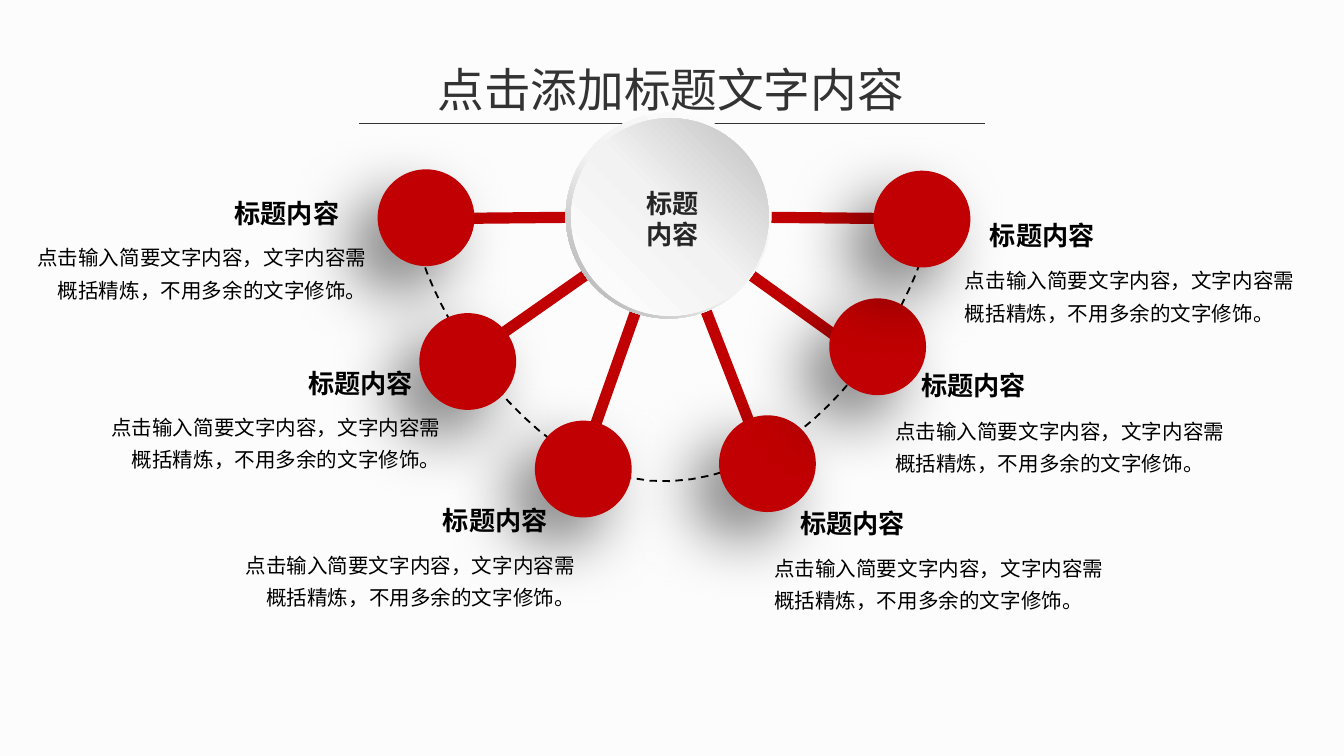
from dataclasses import dataclass

import pptx
import pptx.dml.color
import pptx.enum.dml
import pptx.enum.shapes
import pptx.enum.text
import pptx.oxml
import pptx.oxml.ns
import pptx.util
from pptx.util import Inches

RGBColor = pptx.dml.color.RGBColor
Shape = pptx.enum.shapes.MSO_SHAPE
Align = pptx.enum.text.PP_ALIGN
Pt = pptx.util.Pt
qn = pptx.oxml.ns.qn

PAPER = RGBColor(0xFC, 0xFC, 0xFC)
DARK = RGBColor(0x33, 0x33, 0x33)
HUB_TEXT = RGBColor(0x26, 0x26, 0x26)
BLACK = RGBColor(0, 0, 0)
RED = RGBColor(0xC0, 0x00, 0x02)
WHITE = RGBColor(0xFF, 0xFF, 0xFF)
PALE = RGBColor(0xF2, 0xF2, 0xF2)
SILVER = RGBColor(0xBF, 0xBF, 0xBF)
GREY = RGBColor(0xA6, 0xA6, 0xA6)

FONT = "Noto Sans CJK SC"
HEADING = "标题内容"
BODY = "点击输入简要文字内容，文字内容需概括精炼，不用多余的文字修饰。"
HUB = (4.98, 1.61)
NODE_SIZE = 0.72
NAMESPACE = 'xmlns:a="http://schemas.openxmlformats.org/drawingml/2006/main"'
SHADOW = (
    f'<a:effectLst {NAMESPACE}><a:outerShdw blurRad="{Pt(35)}" dist="{Pt(20)}" '
    'dir="8100000" algn="tr" rotWithShape="0"><a:srgbClr val="000000">'
    '<a:alpha val="50000"/></a:srgbClr></a:outerShdw></a:effectLst>'
)


@dataclass
class TextStyle:
    size: float
    color: RGBColor
    spacing: float
    bold: bool = False
    align: Align = Align.CENTER
    wrap: bool = False


@dataclass
class Node:
    circle: tuple[float, float]
    ray_end: tuple[float, float]
    heading: tuple[float, float]
    body: tuple[float, float]
    body_align: Align


NODES = [
    Node((2.81, 1.26), (2.89, 1.63), (1.64, 1.42), (0.04, 1.72), Align.RIGHT),
    Node((3.12, 2.33), (3.34, 2.76), (2.19, 2.68), (0.59, 2.98), Align.RIGHT),
    Node((3.98, 3.13), (4.29, 3.56), (3.19, 3.70), (1.59, 4.01), Align.RIGHT),
    Node((5.35, 3.09), (5.71, 3.49), (5.85, 3.72), (5.67, 4.03), Align.LEFT),
    Node((6.17, 2.22), (6.58, 2.76), (6.75, 2.70), (6.57, 3.01), Align.LEFT),
    Node((6.50, 1.27), (7.01, 1.63), (7.26, 1.58), (7.09, 1.89), Align.LEFT),
]

# Arc through the nodes: start point, then cubic curves
ARC_START = (3.15, 1.62)
ARC_CURVES = [
    ((3.44, 1.63), (6.58, 1.58), (6.90, 1.67)),
    ((6.96, 1.91), (6.25, 3.53), (4.99, 3.58)),
    ((3.73, 3.64), (2.87, 1.61), (3.15, 1.62)),
]


def add_text(shapes, lines: list[str], left: float, top: float, width: float,
             height: float, style: TextStyle) -> None:
    box = shapes.add_textbox(Inches(left), Inches(top), Inches(width), Inches(height))
    frame_format = {
        "word_wrap": style.wrap, "margin_left": Inches(0.09 if style.wrap else 0.1),
        "margin_right": Inches(0.11 if style.wrap else 0.1),
        "margin_top": Inches(0.05), "margin_bottom": Inches(0.05),
        "auto_size": pptx.enum.text.MSO_AUTO_SIZE.SHAPE_TO_FIT_TEXT,
    }
    for name, value in frame_format.items():
        setattr(box.text_frame, name, value)
    box.text_frame.text = "\n".join(lines)
    for para in box.text_frame.paragraphs:
        para.alignment = style.align
        para.line_spacing = Pt(style.spacing)
        for span in para.runs:
            font_format = {"size": Pt(style.size), "bold": style.bold, "name": FONT}
            for name, value in font_format.items():
                setattr(span.font, name, value)
            span.font.color.rgb = style.color
            east_asian = pptx.oxml.parse_xml(f'<a:ea {NAMESPACE} typeface="{FONT}"/>')
            span.font._element.find(qn("a:latin")).addnext(east_asian)


def add_line(shapes, start: tuple[float, float], end: tuple[float, float],
             color: RGBColor, width: float) -> None:
    line = shapes.add_connector(pptx.enum.shapes.MSO_CONNECTOR.STRAIGHT,
                                *map(Inches, start + end))
    line.line.color.rgb = color
    line.line.width = Pt(width)
    line._element.spPr.append(pptx.oxml.parse_xml(f"<a:effectLst {NAMESPACE}/>"))


def add_arc(shapes) -> None:
    steps = 24
    points, start = [], ARC_START
    for first, second, end in ARC_CURVES:
        for step in range(1, steps + 1):
            t = step / steps
            u = 1 - t
            points.append(tuple(
                Inches(u**3 * a + 3 * u * u * t * b + 3 * u * t * t * c + t**3 * d)
                for a, b, c, d in zip(start, first, second, end)))
        start = end
    builder = shapes.build_freeform(*map(Inches, ARC_START))
    builder.add_line_segments(points, close=True)
    arc = builder.convert_to_shape()
    arc.shadow.inherit = False
    arc.fill.background()
    arc.line.color.rgb = BLACK
    arc.line.width = Pt(1)
    arc.line.dash_style = pptx.enum.dml.MSO_LINE.DASH


def add_node_circle(shapes, left: float, top: float) -> None:
    circle = shapes.add_shape(Shape.OVAL, Inches(left), Inches(top),
                              Inches(NODE_SIZE), Inches(NODE_SIZE))
    circle.fill.solid()
    circle.fill.fore_color.rgb = RED
    circle.line.fill.background()
    circle._element.spPr.append(pptx.oxml.parse_xml(SHADOW))


def add_gradient_disc(shapes, kind: Shape, left: float, top: float, size: float,
                      stops: list[tuple[int, RGBColor]], angle: int):
    disc = shapes.add_shape(kind, Inches(left), Inches(top), Inches(size), Inches(size))
    disc.shadow.inherit = False
    disc.line.fill.background()
    disc.fill.gradient()
    disc.fill.gradient_angle = angle
    stop_list = disc._element.spPr.find(".//" + qn("a:gsLst"))
    for stop in list(stop_list):
        stop_list.remove(stop)
    for position, color in stops:
        stop_list.append(pptx.oxml.parse_xml(
            f'<a:gs {NAMESPACE} pos="{position * 1000}"><a:srgbClr val="{color}"/></a:gs>'))
    return disc


def main() -> None:
    # Widescreen 16:9 page
    deck = pptx.Presentation()
    deck.slide_width = Inches(10)
    deck.slide_height = deck.slide_width * 9 // 16
    page = deck.slides.add_slide(deck.slide_layouts[6])
    page.background.fill.solid()
    page.background.fill.fore_color.rgb = PAPER
    shapes = page.shapes

    # Title and rule
    add_text(shapes, ["点击添加标题文字内容"], 3.15, 0.4, 3.7, 0.52,
             TextStyle(25, DARK, 30.5, wrap=True))
    add_line(shapes, (2.67, 0.92), (7.33, 0.92), DARK, 0.75)

    # Arc, rays and nodes
    add_arc(shapes)
    for node in NODES:
        add_line(shapes, HUB, node.ray_end, RED, 6)
    for node in NODES:
        add_node_circle(shapes, *node.circle)

    # Node captions
    for node in NODES:
        add_text(shapes, [HEADING], *node.heading, 0.99, 0.34,
                 TextStyle(14, BLACK, 17, bold=True))
        add_text(shapes, [BODY], *node.body, 2.8, 0.58,
                 TextStyle(11, BLACK, 17.3, align=node.body_align, wrap=True))

    # Hub
    hub = shapes.add_group_shape().shapes
    ring = add_gradient_disc(hub, Shape.DONUT, 4.21, 0.84, 1.53,
                             [(0, WHITE), (55, PALE), (100, GREY)], 225)
    ring.adjustments[0] = 0.05
    add_gradient_disc(hub, Shape.OVAL, 4.25, 0.88, 1.47,
                      [(0, WHITE), (51, PALE), (100, SILVER)], 45)
    add_text(hub, ["标题", "内容"], 4.71, 1.34, 0.59, 0.57,
             TextStyle(14, HUB_TEXT, 17, bold=True))

    deck.save("out.pptx")


if __name__ == "__main__":
    main()
